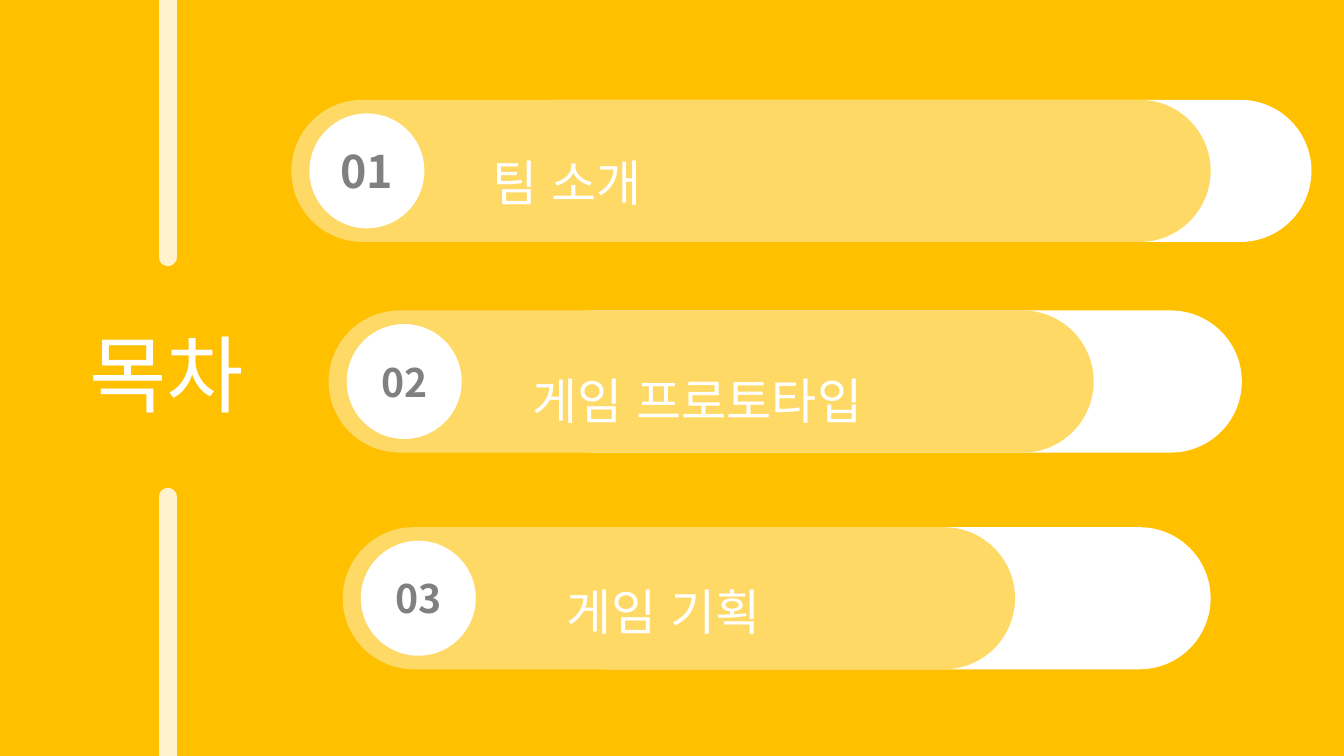
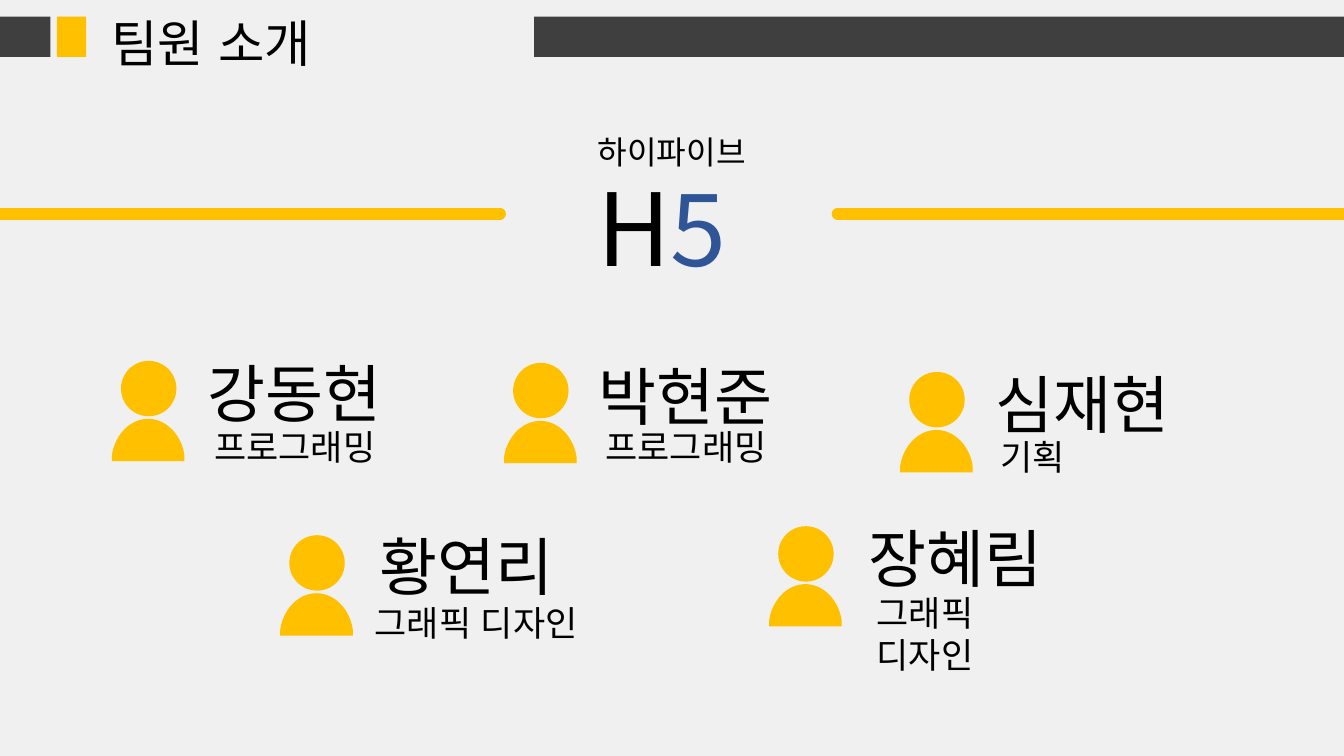
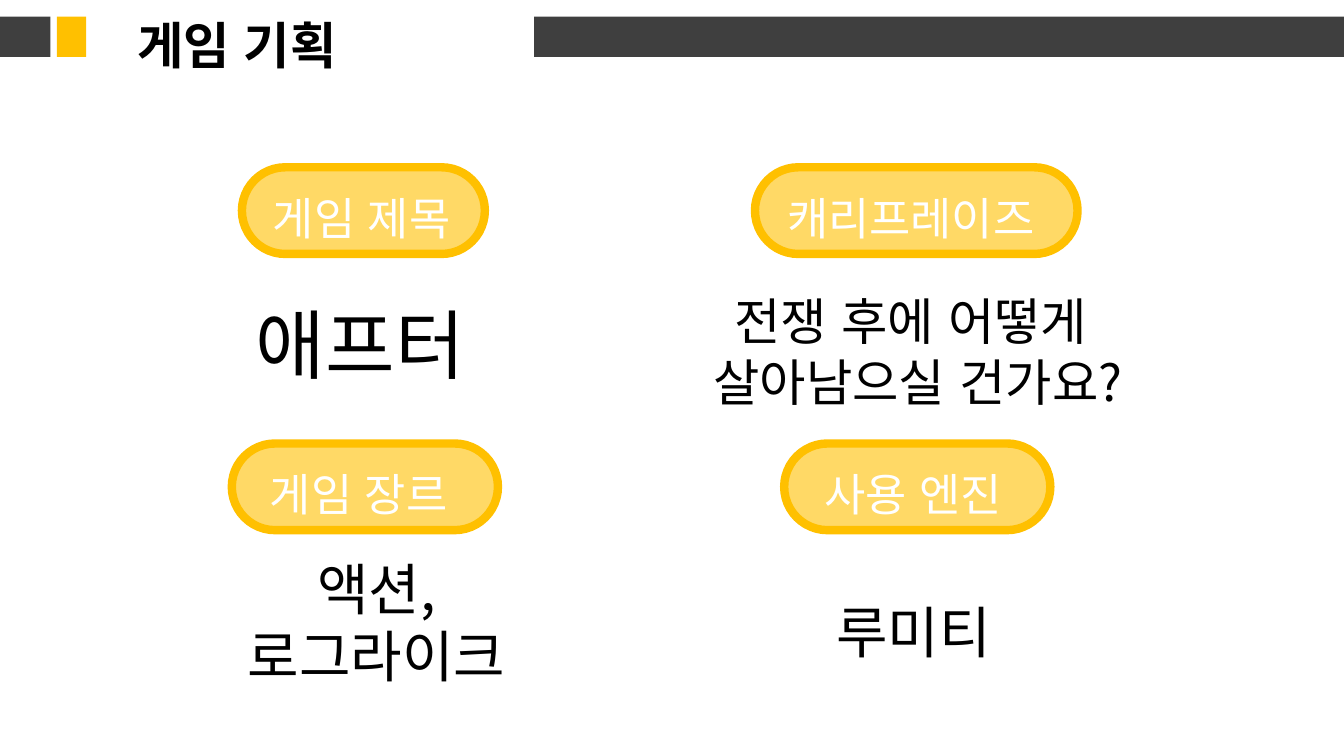
from dataclasses import dataclass

import pptx
import pptx.dml.color
import pptx.enum.lang
import pptx.enum.shapes
import pptx.enum.text
import pptx.oxml
import pptx.oxml.ns
import pptx.util

Pt = pptx.util.Pt
SHAPE = pptx.enum.shapes.MSO_SHAPE
ALIGN = pptx.enum.text.PP_ALIGN
ANCHOR = pptx.enum.text.MSO_ANCHOR
KOREAN = pptx.enum.lang.MSO_LANGUAGE_ID.KOREAN
qn = pptx.oxml.ns.qn
DRAWING_NS = pptx.oxml.ns.nsdecls("a")

# The slide is a grid of square cells, ten to the inch.
COLS, ROWS = 133.33, 75
FONT = "Noto Sans CJK KR"
AMBER, SAND, CREAM = "FFC000", "FFD966", "FFF2CC"
WHITE, BLACK, CHARCOAL = "FFFFFF", "000000", "3F3F3F"
GRAY, PALE, BLUE = "808080", "F0F0F0", "2F5597"


@dataclass
class Bar:
    number: str
    size: float
    x: float
    y: float
    width: float
    right: float
    text: str
    text_x: float
    text_y: float


@dataclass
class Member:
    name: str
    role: str
    x: float
    y: float
    name_dx: float
    name_dy: float
    role_dx: float
    role_dy: float
    role_width: float


@dataclass
class Topic:
    label: str
    x: float
    y: float
    width: float
    label_x: float
    label_width: float
    answer: str
    size: float
    answer_box: tuple[float, float, float, float]


BARS = [
    Bar("01", 32, 28.9, 9.9, 91.2, 130.1, "팀 소개", 33.8, 11.7),
    Bar("02", 28, 32.6, 30.8, 75.9, 123.2, "게임 프로토타입", 46.7, 33.3),
    Bar("03", 28, 34, 52.3, 66.7, 120.1, "게임 기획 ", 44, 54.3),
]
MEMBERS = [
    Member("강동현", "프로그래밍", 11.1, 35.8, 8.5, -1.1, 9.2, 5.9, 19.2),
    Member("박현준", "프로그래밍", 50, 36, 8.4, -1, 9.1, 5.7, 19.2),
    Member("심재현", "기획", 89.3, 36.9, 8.5, -1.1, 9, 5.8, 8.9),
    Member("황연리", "그래픽 디자인", 27.8, 53.1, 8.9, -1.3, 8.4, 6.1, 23.8),
    Member("장혜림", "그래픽 디자인", 76.3, 52.2, 8.9, -1.2, 9.7, 6, 21.8),
]
TOPICS = [
    Topic("게임 제목", 24, 16.6, 24.1, 26.1, 20.5,
          "애프터", 54, (24.4, 29.1, 23.9, 10.1)),
    Topic("캐리프레이즈", 74.9, 16.6, 32, 77.1, 27.9,
          "전쟁 후에 어떻게 \n살아남으실 건가요?", 36, (68.5, 28.3, 45.1, 13.1)),
    Topic("게임 장르", 23, 44, 26.4, 25.8, 20.5,
          "액션,\n로그라이크", 40, (22.9, 54.5, 28.9, 14.5)),
    Topic("사용 엔진", 77.8, 44, 26.4, 80.8, 20.5,
          "루미티", 40, (82, 58.8, 18.2, 7.7)),
]


def cells(n: float) -> pptx.util.Emu:
    return pptx.util.Inches(n / 10)


def rgb(color: str) -> pptx.dml.color.RGBColor:
    return pptx.dml.color.RGBColor.from_string(color)


def write(sp, text: str, size: float, color: str = BLACK, bold: bool = False,
          align=ALIGN.LEFT, anchor=ANCHOR.TOP, wrap: bool = False,
          grow: bool = True, spacing: float = 1.0) -> None:
    """Fill a shape with text, one paragraph per line."""
    tf = sp.text_frame
    tf.text = text
    tf.word_wrap = wrap
    tf.vertical_anchor = anchor
    if grow:
        tf.auto_size = pptx.enum.text.MSO_AUTO_SIZE.SHAPE_TO_FIT_TEXT
    for p in tf.paragraphs:
        p.alignment = align
        p.line_spacing = spacing
        p.font.size = Pt(size)
        p.font.bold = bold
        p.font.color.rgb = rgb(color)
        p.font.name = FONT
        p.font.language_id = KOREAN
        props = p.font._element
        props.set("kern", "0")
        props.find(qn("a:latin")).addnext(
            pptx.oxml.parse_xml(f'<a:ea {DRAWING_NS} typeface="{FONT}"/>'))


def add_text(shapes, x: float, y: float, w: float, h: float, text: str,
             size: float, **style):
    sp = shapes.add_textbox(*map(cells, (x, y, w, h)))
    write(sp, text, size, **style)
    return sp


def paint(sp, fill: str, outline: str = "", width: float = 0) -> None:
    sp.shadow.inherit = False
    sp.fill.solid()
    sp.fill.fore_color.rgb = rgb(fill)
    if outline:
        sp.line.color.rgb = rgb(outline)
        sp.line.width = Pt(width)
    else:
        sp.line.fill.background()


def add_shape(shapes, kind, x: float, y: float, w: float, h: float, fill: str,
              outline: str = "", width: float = 0):
    sp = shapes.add_shape(kind, *map(cells, (x, y, w, h)))
    paint(sp, fill, outline, width)
    if kind == SHAPE.ROUNDED_RECTANGLE:
        sp.adjustments[0] = 0.5
    return sp


def add_round_line(shapes, x1: float, y1: float, x2: float, y2: float,
                   color: str, width: float) -> None:
    """Draw a straight line with round ends."""
    line = shapes.add_connector(pptx.enum.shapes.MSO_CONNECTOR.STRAIGHT,
                                *map(cells, (x1, y1, x2, y2)))
    line.line.color.rgb = rgb(color)
    line.line.width = Pt(width)
    props = line.element.spPr
    props.find(qn("a:ln")).set("cap", "rnd")
    props.append(pptx.oxml.parse_xml(f"<a:effectLst {DRAWING_NS}/>"))


def add_slide(prs, background: str, title: str, box: tuple, size: float, **style):
    slide = prs.slides.add_slide(prs.slide_layouts[5])
    slide.background.fill.solid()
    slide.background.fill.fore_color.rgb = rgb(background)
    sp = slide.shapes.title
    sp.left, sp.top, sp.width, sp.height = map(cells, box)
    write(sp, title, size, **style)
    return slide


def add_content_slide(prs, background: str, title: str, x: float, y: float, **style):
    """Add a slide with the header band and its title."""
    slide = add_slide(prs, background, title, (x, y, 23.5, 7.1), 36, **style)
    for left, width, color in ((53, COLS - 53, CHARCOAL), (0, 5, CHARCOAL),
                               (5.65, 2.9, AMBER)):
        add_shape(slide.shapes, SHAPE.RECTANGLE, left, 1.65, width, 4, color)
    return slide


def add_bar(shapes, bar: Bar) -> None:
    tail = bar.x + 19.3
    for left, width, color in ((tail, bar.right - tail, WHITE),
                               (bar.x, bar.width, SAND)):
        add_shape(shapes, SHAPE.ROUNDED_RECTANGLE, left, bar.y, width, 14.1, color)
    disc = add_shape(shapes, SHAPE.OVAL, bar.x + 1.8, bar.y + 1.35, 11.4, 11.4, WHITE)
    write(disc, bar.number, bar.size, color=GRAY, bold=True, align=ALIGN.CENTER,
          anchor=ANCHOR.MIDDLE, wrap=True, grow=False)
    add_text(shapes, bar.text_x, bar.text_y, 45, 9.1, bar.text, 35, color=WHITE,
             align=ALIGN.CENTER, wrap=True, spacing=1.5)


def add_shoulders(shapes, x: float, y: float, w: float, h: float) -> None:
    """Draw a flat-based dome: five corners, the two upper edges curved."""
    def curve(*points: tuple[float, float]):
        pts = "".join(f'<a:pt x="{cells(w * px)}" y="{cells(h * py)}"/>'
                      for px, py in points)
        return pptx.oxml.parse_xml(f"<a:cubicBezTo {DRAWING_NS}>{pts}</a:cubicBezTo>")

    corners = [(0.5, 0), (1, 0.86), (1, 1), (0, 1), (0, 0.86)]
    start, *rest = [(cells(x + w * px), cells(y + h * py)) for px, py in corners]
    builder = shapes.build_freeform(*start)
    builder.add_line_segments(rest, close=True)
    sp = builder.convert_to_shape()
    paint(sp, AMBER)
    first = next(sp.element.iter(qn("a:lnTo")))
    close = next(sp.element.iter(qn("a:close")))
    first.addprevious(curve((0.75, 0), (0.96, 0.38), (1, 0.86)))
    first.getparent().remove(first)
    close.addprevious(curve((0.04, 0.38), (0.25, 0), (0.5, 0)))


def add_member(shapes, m: Member) -> None:
    group = shapes.add_group_shape().shapes
    add_text(group, m.x + m.name_dx, m.y + m.name_dy, 20.6, 8.6, m.name, 45)
    add_text(group, m.x + m.role_dx, m.y + m.role_dy, m.role_width, 5.2, m.role, 25)
    add_shape(group, SHAPE.OVAL, m.x + 0.9, m.y, 5.5, 5.5, AMBER)
    add_shoulders(group, m.x, m.y + 5.75, 7.2, 4.2)


def add_topic(shapes, t: Topic) -> None:
    group = shapes.add_group_shape().shapes
    add_shape(group, SHAPE.ROUNDED_RECTANGLE, t.x, t.y, t.width, 8.6, SAND, AMBER, 6)
    add_text(group, t.label_x, t.y + 1.8, t.label_width, 6.4, t.label, 32, color=WHITE)
    align = ALIGN.CENTER if "\n" in t.answer else ALIGN.LEFT
    add_text(group, *t.answer_box, t.answer, t.size, align=align)


def build_contents(prs) -> None:
    slide = add_slide(prs, AMBER, "목차", (5.9, 31.4, 21.2, 11.1), 60, color=WHITE,
                      align=ALIGN.CENTER, anchor=ANCHOR.MIDDLE, wrap=True)
    for bar in BARS:
        add_bar(slide.shapes, bar)
    for top, bottom in ((0, 25.5), (49.3, ROWS)):
        add_round_line(slide.shapes, 16.63, top, 16.63, bottom, CREAM, 13)


def build_team(prs) -> None:
    slide = add_content_slide(prs, PALE, "팀원 소개", 9.2, 0.7, align=ALIGN.CENTER)
    for member in MEMBERS:
        add_member(slide.shapes, member)
    team = slide.shapes.add_group_shape().shapes
    sp = add_text(team, 58.3, 15.95, 18.1, 13.1, "H", 72)
    r = sp.text_frame.paragraphs[0].add_run()
    r.text = "5"
    r.font.color.rgb = rgb(BLUE)
    add_text(team, 58.3, 12.65, 18, 4.9, "하이파이브", 23)
    for left, right in ((0, 49.6), (83.1, COLS)):
        add_round_line(slide.shapes, left, 21.2, right, 21.2, AMBER, 8.5)


def build_plan(prs) -> None:
    slide = add_content_slide(prs, WHITE, "게임 기획", 12.6, 0.9, bold=True)
    for topic in TOPICS:
        add_topic(slide.shapes, topic)


def main() -> None:
    prs = pptx.Presentation()
    prs.slide_width, prs.slide_height = cells(COLS), cells(ROWS)
    build_contents(prs)
    build_team(prs)
    build_plan(prs)
    prs.save("out.pptx")


if __name__ == "__main__":
    main()
